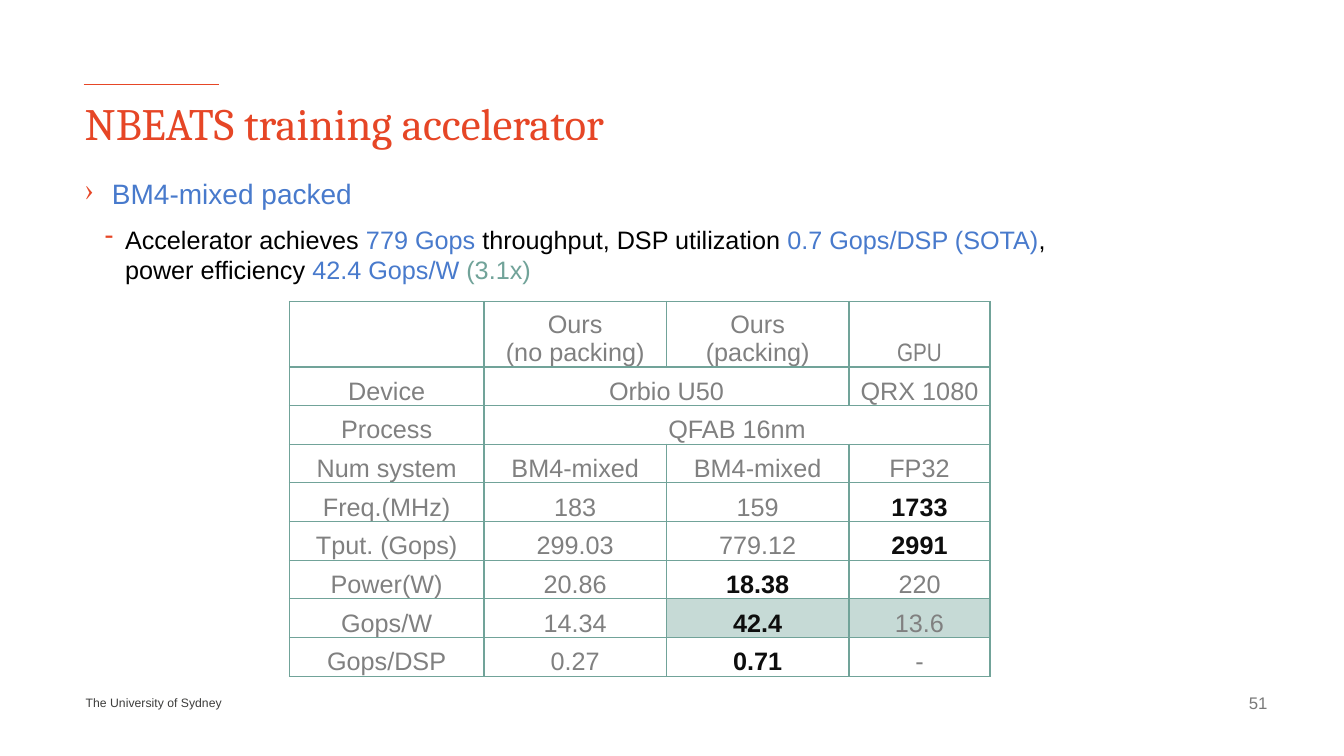
from lxml import etree
from pptx import Presentation
from pptx.dml.color import RGBColor
from pptx.enum.shapes import MSO_CONNECTOR
from pptx.enum.text import MSO_ANCHOR, PP_ALIGN
from pptx.oxml.ns import qn
from pptx.util import Inches, Pt

LINE = MSO_CONNECTOR.STRAIGHT
TOP, MIDDLE, BOTTOM = MSO_ANCHOR.TOP, MSO_ANCHOR.MIDDLE, MSO_ANCHOR.BOTTOM
LEFT, CENTER, RIGHT = PP_ALIGN.LEFT, PP_ALIGN.CENTER, PP_ALIGN.RIGHT

RED = RGBColor(0xE6, 0x46, 0x26)
BLUE = RGBColor(0x48, 0x7A, 0xCC)
GREEN = RGBColor(0x71, 0xA3, 0x99)
PALE_GREEN = RGBColor(0xC6, 0xDA, 0xD6)
BLACK = RGBColor(0x00, 0x00, 0x00)
NEAR_BLACK = RGBColor(0x0D, 0x0D, 0x0D)
GRAY = RGBColor(0x80, 0x80, 0x80)
NUMBER_GRAY = RGBColor(0x79, 0x79, 0x79)
FOOTER_GRAY = RGBColor(0x3C, 0x3C, 0x3B)


def set_frame(frame, anchor, margins):
    frame.word_wrap = True
    frame.vertical_anchor = anchor
    for side, value in zip(("left", "top", "right", "bottom"), margins):
        setattr(frame, f"margin_{side}", Inches(value))


def add_span(para, text, size, color, name="Arial", bold=False):
    span = para.add_run()
    span.text = text
    span.font.color.rgb = color
    for key, value in {"size": Pt(size), "name": name, "bold": bold}.items():
        setattr(span.font, key, value)


deck = Presentation()
deck.slide_width, deck.slide_height = Inches(13.33), Inches(7.5)
page = deck.slides.add_slide(deck.slide_layouts[5])

# Rule above the title
rule = page.shapes.add_connector(LINE, Inches(0.83), Inches(0.84), Inches(2.17), Inches(0.84))
rule.line.color.rgb = RED
rule.line.width = Pt(0.75)
etree.SubElement(rule._element.spPr, qn("a:effectLst"))

# Title
title = page.shapes.title
title.left, title.top = Inches(0.84), Inches(0.95)
title.width, title.height = Inches(11.65), Inches(0.54)
set_frame(title.text_frame, TOP, (0, 0, 0, 0))
title_para = title.text_frame.paragraphs[0]
title_para.alignment = LEFT
add_span(title_para, "NBEATS training accelerator", 32, RED, "Cambria")

# Footer and page number
labels = [
    ((0.83, 6.89, 1.5, 0.15), "The University of Sydney", 8.7, FOOTER_GRAY, LEFT, TOP, (0.02, 0.01, 0, 0)),
    ((9.67, 6.77, 3, 0.4), "51", 12, NUMBER_GRAY, RIGHT, MIDDLE, (0.1, 0.05, 0.1, 0.05)),
]
for place, text, size, color, align, anchor, margins in labels:
    box = page.shapes.add_textbox(*map(Inches, place))
    set_frame(box.text_frame, anchor, margins)
    para = box.text_frame.paragraphs[0]
    para.alignment = align
    add_span(para, text, size, color)

# Bullets: mark, level, left margin, hanging indent, size, spans
bullets = [
    ("›", 0, 0.27, 0.27, 20, [("BM4-mixed packed", BLUE)]),
    ("-", 1, 0.4, 0.2, 18, [
        ("Accelerator achieves ", BLACK),
        ("779 Gops ", BLUE),
        ("throughput, DSP utilization ", BLACK),
        ("0.7 Gops/DSP (SOTA)", BLUE),
        (", power efficiency ", BLACK),
        ("42.4 Gops/W ", BLUE),
        ("(3.1x)", GREEN),
    ]),
]
box = page.shapes.add_textbox(Inches(0.84), Inches(1.7), Inches(10.14), Inches(2.34))
frame = box.text_frame
set_frame(frame, TOP, (0, 0.05, 0.1, 0.05))
for index, (mark, level, margin, hang, size, spans) in enumerate(bullets):
    para = frame.add_paragraph() if index else frame.paragraphs[0]
    para.level = level
    para.space_before = Pt(5 if index else 0)
    para.space_after = Pt(5)
    props = para._p.get_or_add_pPr()
    props.set("marL", str(Inches(margin)))
    props.set("indent", str(-Inches(hang)))
    bullet_color = etree.SubElement(props, qn("a:buClr"))
    etree.SubElement(bullet_color, qn("a:srgbClr"), val=str(RED))
    etree.SubElement(props, qn("a:buChar"), char=mark)
    for text, color in spans:
        add_span(para, text, size, color)

# Comparison table
rows = [
    ["", "Ours\n(no packing)", "Ours\n(packing)", "GPU"],
    ["Device", "Orbio U50", "", "QRX 1080"],
    ["Process", "QFAB 16nm", "", ""],
    ["Num system", "BM4-mixed", "BM4-mixed", "FP32"],
    ["Freq.(MHz)", "183", "159", "1733"],
    ["Tput. (Gops)", "299.03", "779.12", "2991"],
    ["Power(W)", "20.86", "18.38", "220"],
    ["Gops/W", "14.34", "42.4", "13.6"],
    ["Gops/DSP", "0.27", "0.71", "-"],
]
best = {(4, 3), (5, 3), (6, 2), (7, 2), (8, 2)}
shaded = {(7, 2), (7, 3)}
table_height, head_height = 3.72, 0.65
row_height = (table_height - head_height) / (len(rows) - 1)

table = page.shapes.add_table(len(rows), 4, Inches(2.87), Inches(2.99),
                              Inches(6.95), Inches(table_height)).table
table.first_row = table.horz_banding = False
for column, width in zip(table.columns, (1.93, 1.81, 1.81, 1.4)):
    column.width = Inches(width)
for r, values in enumerate(rows):
    table.rows[r].height = Inches(row_height if r else head_height)
    for c, value in enumerate(values):
        cell = table.cell(r, c)
        cell.vertical_anchor = BOTTOM
        cell.margin_left = cell.margin_right = cell.margin_top = Inches(0.01)
        cell.margin_bottom = 0
        props = cell._tc.get_or_add_tcPr()
        for edge in ("lnL", "lnR", "lnT", "lnB"):
            border = etree.SubElement(props, qn(f"a:{edge}"), w=str(Pt(1)))
            border_fill = etree.SubElement(border, qn("a:solidFill"))
            etree.SubElement(border_fill, qn("a:srgbClr"), val=str(GREEN))
        if (r, c) in shaded:
            cell.fill.solid()
            cell.fill.fore_color.rgb = PALE_GREEN
        else:
            cell.fill.background()
        if not value:
            continue
        bold = (r, c) in best
        for index, text in enumerate(value.split("\n")):
            para = cell.text_frame.add_paragraph() if index else cell.text_frame.paragraphs[0]
            para.alignment = CENTER
            add_span(para, text, 18, NEAR_BLACK if bold else GRAY,
                     "Arial Narrow" if value == "GPU" else "Arial", bold)
table.cell(1, 1).merge(table.cell(1, 2))
table.cell(2, 1).merge(table.cell(2, 3))

deck.save("out.pptx")
